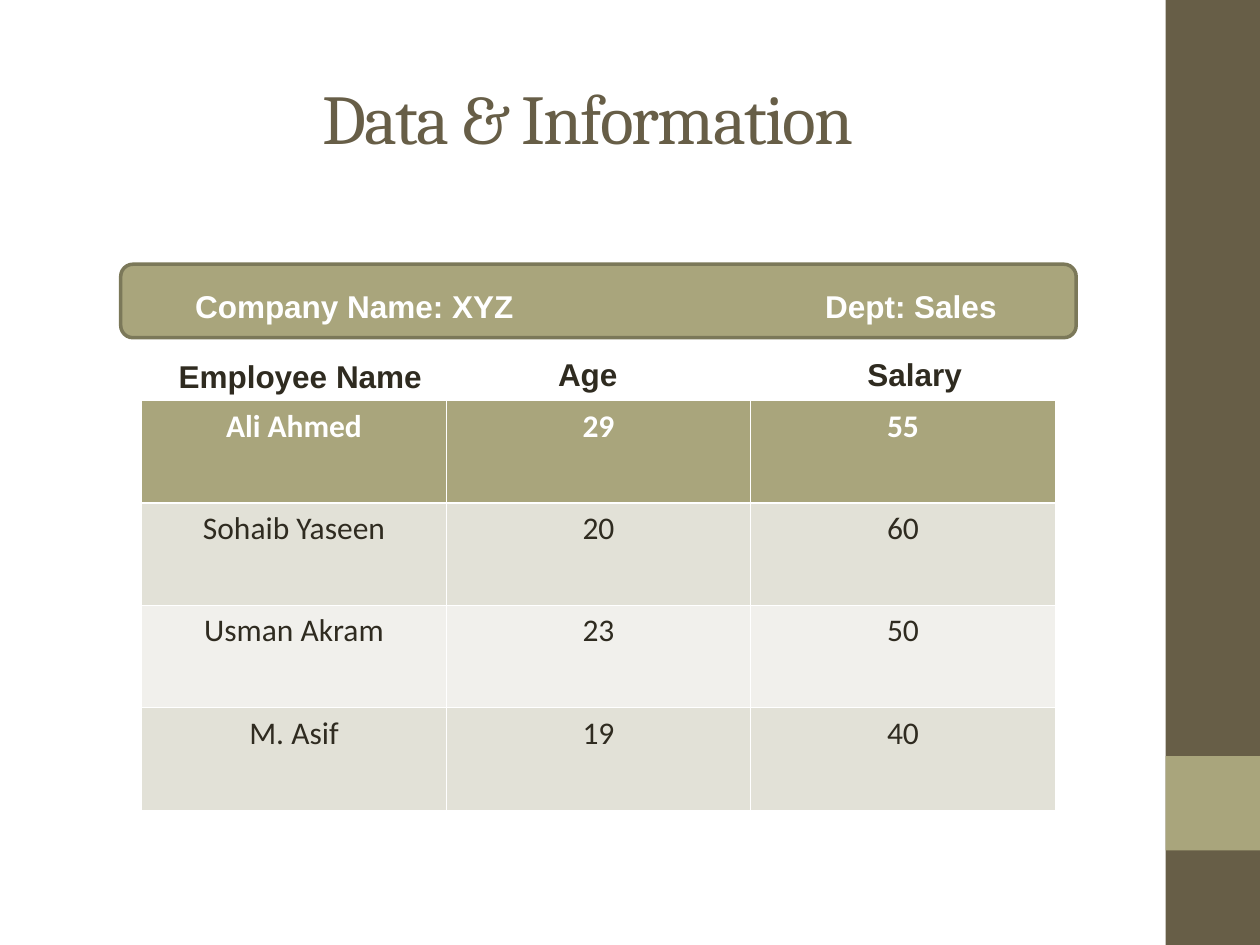
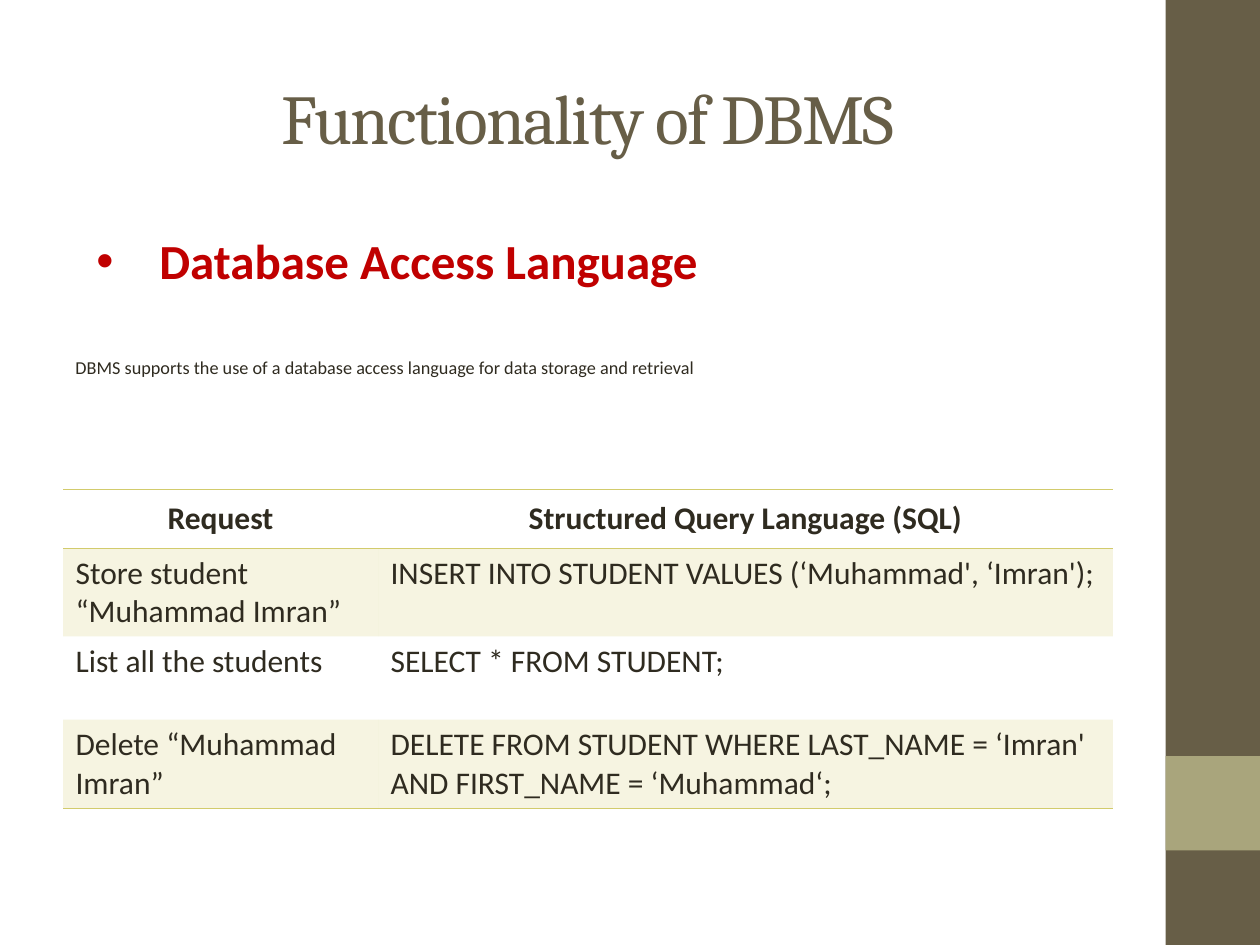
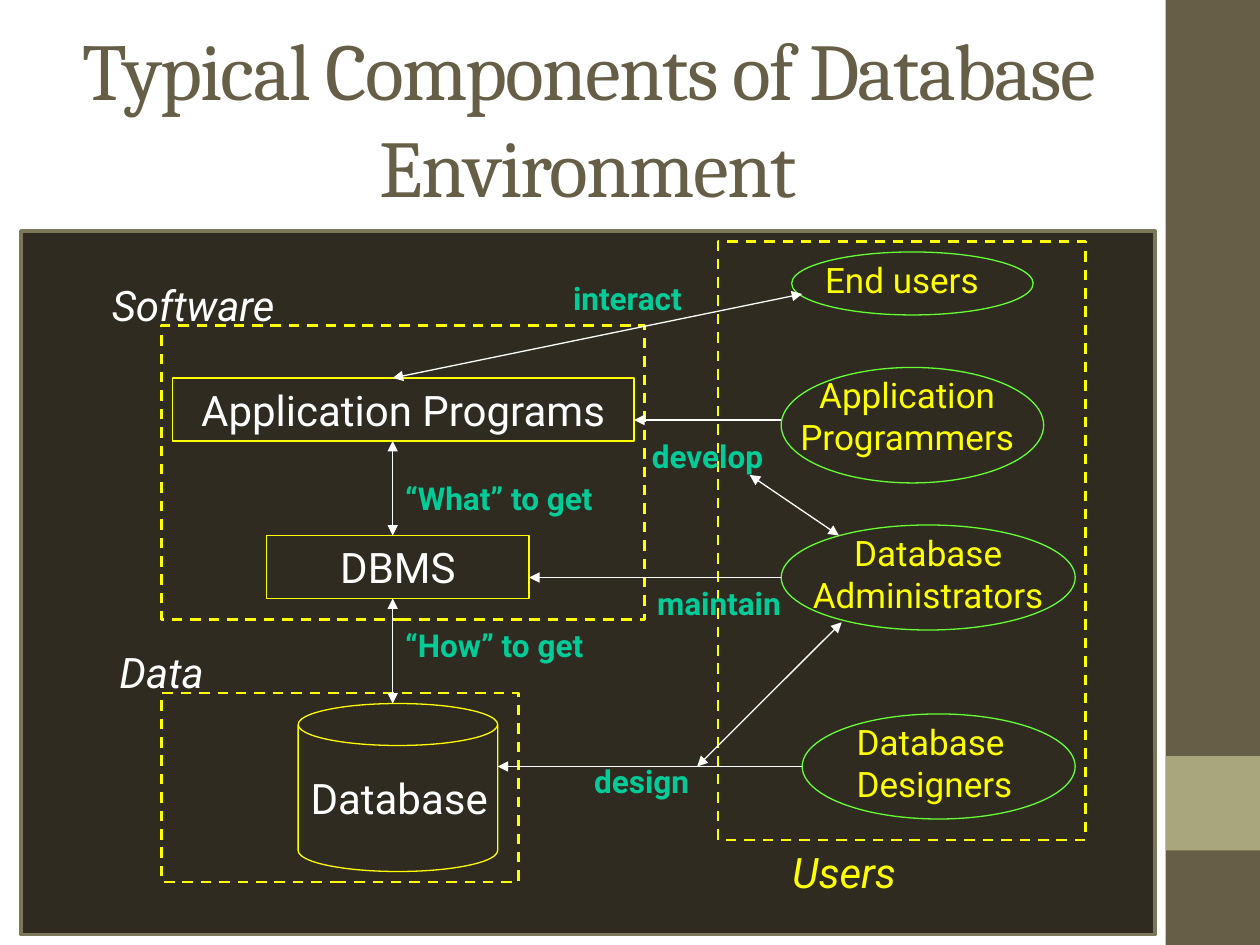
from dataclasses import dataclass, field, replace
from typing import NamedTuple

from lxml import etree
from pptx import Presentation
from pptx import util as u
from pptx.dml import color
from pptx.enum import dml, shapes, text
from pptx.oxml import ns

LEFT, CENTER = text.PP_ALIGN.LEFT, text.PP_ALIGN.CENTER
TOP, MIDDLE = text.MSO_ANCHOR.TOP, text.MSO_ANCHOR.MIDDLE
RECTANGLE = shapes.MSO_SHAPE.RECTANGLE
OVAL = shapes.MSO_SHAPE.OVAL


class Box(NamedTuple):
    left: float
    top: float
    width: float
    height: float

    def points(self) -> list:
        return [u.Pt(value) for value in self]


@dataclass(frozen=True)
class Style:
    font: str
    size: float
    color: str
    bold: bool = False
    italic: bool = False
    tracking: int = 0


@dataclass(frozen=True)
class Theme:
    white: str = "FFFFFF"
    brown: str = "675E47"
    olive: str = "A9A57C"
    olive_edge: str = "7B7859"
    ink: str = "2F2B20"
    band_dark: str = "E2E1D7"
    band_light: str = "F1F0EC"
    gold: str = "D2CB6C"
    yellow: str = "FFFF00"
    green: str = "66FF33"
    title: Style = Style("Cambria", 40, "675E47", tracking=-100)
    body: Style = Style("Calibri", 18, "2F2B20")
    heading: Style = Style("Calibri", 28, "C00000", bold=True)
    small: Style = Style("Calibri", 10.4, "2F2B20")
    label: Style = Style("Arial", 18, "2F2B20", bold=True)
    component: Style = Style("Roboto", 24, "FFFFFF")
    user: Style = Style("Roboto", 20, "FFFF00")
    action: Style = Style("Roboto", 18, "00CC99", bold=True)


THEME = Theme()


class Edge(NamedTuple):
    color: str
    width: float


@dataclass(frozen=True)
class CellLook:
    style: Style
    fill: str | None = None
    alpha: int = 100
    align: text.PP_ALIGN = LEFT
    anchor: text.MSO_ANCHOR = TOP
    edges: dict[str, Edge] = field(default_factory=dict)


class Label(NamedTuple):
    words: str
    box: Box
    style: Style
    align: text.PP_ALIGN = LEFT


class Outline(NamedTuple):
    kind: shapes.MSO_SHAPE
    box: Box
    color: str
    words: str = ""


class Arrow(NamedTuple):
    start: tuple[float, float]
    end: tuple[float, float]
    two_way: bool = True


def rgb(value: str) -> color.RGBColor:
    return color.RGBColor.from_string(value)


def write(frame, words: str, style: Style, align=LEFT, spacing: float = 1.0) -> None:
    for index, line in enumerate(words.split("\n")):
        paragraph = frame.add_paragraph() if index else frame.paragraphs[0]
        paragraph.alignment = align
        paragraph.line_spacing = spacing
        run = paragraph.add_run()
        run.text = line
        font = run.font
        font.name, font.size = style.font, u.Pt(style.size)
        font.bold, font.italic = style.bold, style.italic
        font.color.rgb = rgb(style.color)
        if style.tracking:
            font._element.set("spc", str(style.tracking))


def add_text(slide, label: Label, spacing: float = 1.0, anchor=TOP, wrap: bool = True):
    frame = slide.shapes.add_textbox(*label.box.points()).text_frame
    frame.word_wrap = wrap
    frame.vertical_anchor = anchor
    write(frame, label.words, label.style, label.align, spacing)
    return frame.paragraphs[0]


def add_shape(slide, kind, box: Box, fill: str | None = None, line: Edge | None = None):
    shape = slide.shapes.add_shape(kind, *box.points())
    shape.shadow.inherit = False
    if fill:
        shape.fill.solid()
        shape.fill.fore_color.rgb = rgb(fill)
    else:
        shape.fill.background()
    if line:
        shape.line.color.rgb = rgb(line.color)
        shape.line.width = u.Pt(line.width)
    else:
        shape.line.fill.background()
    return shape


def add_arrow(slide, arrow: Arrow) -> None:
    ends = [u.Pt(value) for value in (*arrow.start, *arrow.end)]
    connector = slide.shapes.add_connector(shapes.MSO_CONNECTOR.STRAIGHT, *ends)
    connector.line.color.rgb = rgb(THEME.white)
    connector.line.width = u.Pt(0.75)
    properties = connector._element.spPr
    line = properties.find(ns.qn("a:ln"))
    for tag in ("a:headEnd", "a:tailEnd") if arrow.two_way else ("a:tailEnd",):
        etree.SubElement(line, ns.qn(tag), type="triangle")
    etree.SubElement(properties, ns.qn("a:effectLst"))


def format_cell(cell, words: str, look: CellLook) -> None:
    properties = cell._tc.get_or_add_tcPr()
    for side in "LRTB":
        line = etree.SubElement(properties, ns.qn(f"a:ln{side}"))
        edge = look.edges.get(side)
        if edge:
            line.set("w", str(u.Pt(edge.width)))
            fill = etree.SubElement(line, ns.qn("a:solidFill"))
            etree.SubElement(fill, ns.qn("a:srgbClr"), val=edge.color)
        else:
            etree.SubElement(line, ns.qn("a:noFill"))
    if look.fill:
        cell.fill.solid()
        cell.fill.fore_color.rgb = rgb(look.fill)
        if look.alpha < 100:
            tint = properties.find(ns.qn("a:solidFill"))[0]
            etree.SubElement(tint, ns.qn("a:alpha"), val=str(look.alpha * 1000))
    else:
        cell.fill.background()
    cell.vertical_anchor = look.anchor
    write(cell.text_frame, words, look.style, look.align)


def add_table(slide, left: float, top: float, widths: list[float], heights: list[float],
              rows: list[tuple[str, ...]], looks: list[CellLook]) -> None:
    box = Box(left, top, sum(widths), sum(heights))
    table = slide.shapes.add_table(len(rows), len(widths), *box.points()).table
    table.first_row = table.horz_banding = False
    for column, width in zip(table.columns, widths):
        column.width = u.Pt(width)
    for row, height, words, look in zip(table.rows, heights, rows, looks):
        row.height = u.Pt(height)
        for cell, entry in zip(row.cells, words):
            format_cell(cell, entry, look)


def add_slide(presentation, title: str, title_size: float = THEME.title.size):
    slide = presentation.slides.add_slide(presentation.slide_layouts[6])
    add_shape(slide, RECTANGLE, Box(666, 0, 54, 540), THEME.brown)
    add_shape(slide, RECTANGLE, Box(666, 432, 54, 54), THEME.olive)
    style = replace(THEME.title, size=title_size)
    add_text(slide, Label(title, Box(36, 21.6, 600, 90), style, CENTER), anchor=MIDDLE)
    return slide


def build_data_slide(presentation) -> None:
    slide = add_slide(presentation, "Data & Information")
    thin, thick = Edge(THEME.white, 0.45), Edge(THEME.white, 1.47)
    grid = dict.fromkeys("LRTB", thin)
    head_style = replace(THEME.body, color=THEME.white, bold=True)
    dark = CellLook(THEME.body, THEME.band_dark, align=CENTER, edges=grid)
    looks = [
        replace(dark, style=head_style, fill=THEME.olive, edges=grid | {"B": thick}),
        replace(dark, edges=grid | {"T": thick}),
        replace(dark, fill=THEME.band_light),
        dark,
    ]
    employees = [
        ("Ali Ahmed", "29", "55"),
        ("Sohaib Yaseen", "20", "60"),
        ("Usman Akram", "23", "50"),
        ("M. Asif", "19", "40"),
    ]
    add_table(slide, 81, 229, [174] * 3, [58.5] * 4, employees, looks)
    for label in (
        Label("Employee Name", Box(95, 193.8, 153.4, 35), THEME.label),
        Label("Age", Box(311.8, 193, 48.2, 35), THEME.label),
        Label("Salary", Box(488.6, 193, 68.4, 35), THEME.label),
    ):
        add_text(slide, label, spacing=1.3, wrap=False)
    add_shape(slide, shapes.MSO_SHAPE.ROUNDED_RECTANGLE, Box(69, 151, 546, 42),
              THEME.olive, Edge(THEME.olive_edge, 2))
    company = Label("Company Name: XYZ\tDept: Sales", Box(104.4, 154, 472.4, 35),
                    replace(THEME.label, color=THEME.white))
    paragraph = add_text(slide, company, spacing=1.3, wrap=False)
    stops = etree.SubElement(paragraph._p.get_or_add_pPr(), ns.qn("a:tabLst"))
    etree.SubElement(stops, ns.qn("a:tab"), pos=str(u.Pt(360)), algn="l")


def build_language_slide(presentation) -> None:
    slide = add_slide(presentation, "Functionality of DBMS")
    heading = Label("Database Access Language", Box(48, 111.6, 534, 60), THEME.heading)
    properties = add_text(slide, heading, spacing=1.5)._p.get_or_add_pPr()
    properties.set("marL", str(u.Pt(36)))
    properties.set("indent", str(u.Pt(-36)))
    bullet_color = etree.SubElement(properties, ns.qn("a:buClr"))
    etree.SubElement(bullet_color, ns.qn("a:srgbClr"), val=THEME.heading.color)
    etree.SubElement(properties, ns.qn("a:buFont"), typeface="Arial")
    etree.SubElement(properties, ns.qn("a:buChar"), char="•")
    summary = ("DBMS supports the use of a database access language "
               "for data storage and retrieval")
    add_text(slide, Label(summary, Box(36, 202.4, 608, 60), THEME.small), spacing=0.8)

    rule = Edge(THEME.gold, 0.45)
    plain = CellLook(THEME.body)
    tinted = replace(plain, fill=THEME.gold, alpha=20)
    looks = [
        replace(plain, style=replace(THEME.body, bold=True), align=CENTER, anchor=MIDDLE,
                edges={"T": rule, "B": rule}),
        replace(tinted, edges={"T": rule}),
        plain,
        replace(tinted, edges={"B": rule}),
    ]
    requests = [
        ("Request", "Structured Query Language (SQL)"),
        ("Store student\n“Muhammad Imran”",
         "INSERT INTO STUDENT VALUES (‘Muhammad', ‘Imran');"),
        ("List all the students", "SELECT * FROM STUDENT;"),
        ("Delete “Muhammad Imran”",
         "DELETE FROM STUDENT WHERE LAST_NAME = ‘Imran' AND FIRST_NAME = ‘Muhammad‘;"),
    ]
    add_table(slide, 36, 279.4, [180, 420], [33.8, 50.4, 47.6, 50.4], requests, looks)


def build_environment_slide(presentation) -> None:
    slide = add_slide(presentation, "Typical Components of Database Environment", 46)
    add_shape(slide, RECTANGLE, Box(12, 132, 648, 402), THEME.ink, Edge(THEME.olive_edge, 2))

    for outline in (
        Outline(shapes.MSO_SHAPE.CAN, Box(170.4, 402, 114, 96), THEME.yellow),
        Outline(RECTANGLE, Box(152.4, 306, 150, 36), THEME.yellow, "DBMS"),
        Outline(RECTANGLE, Box(98.4, 216, 264, 36), THEME.yellow, "Application Programs"),
        Outline(OVAL, Box(452.4, 144, 138, 36), THEME.green),
        Outline(OVAL, Box(446.4, 210, 150, 66), THEME.green),
        Outline(OVAL, Box(446.4, 300, 168, 60), THEME.green),
        Outline(OVAL, Box(458.4, 408, 156, 60), THEME.green),
    ):
        shape = add_shape(slide, outline.kind, outline.box, line=Edge(outline.color, 0.75))
        if outline.words:
            shape.text_frame.vertical_anchor = TOP
            write(shape.text_frame, outline.words, THEME.component, CENTER)

    for frame in (
        Box(92.4, 186, 276, 168),
        Box(410.4, 138, 210, 342),
        Box(92.4, 396, 204, 108),
    ):
        group = add_shape(slide, RECTANGLE, frame, line=Edge(THEME.yellow, 1.5))
        group.line.dash_style = dml.MSO_LINE.DASH

    group_name = replace(THEME.component, italic=True)
    users_name = replace(group_name, color=THEME.yellow)
    for label in (
        Label("Database", Box(170.4, 438, 144, 36), THEME.component),
        Label("End users", Box(464.4, 144, 120, 31.5), THEME.user),
        Label("Application Programmers", Box(434.4, 210, 168, 55.5), THEME.user, CENTER),
        Label("Database Administrators", Box(446.4, 300, 168, 55.5), THEME.user, CENTER),
        Label("Database Designers", Box(482.4, 408, 156, 55.5), THEME.user),
        Label("interact", Box(320.4, 156, 132, 29), THEME.action),
        Label("“What” to get", Box(224.4, 270, 150, 29), THEME.action),
        Label("“How” to get", Box(224.4, 354, 132, 29), THEME.action),
        Label("develop", Box(365.4, 246, 123, 29), THEME.action),
        Label("maintain", Box(368.4, 330, 132, 29), THEME.action),
        Label("design", Box(332.4, 432, 132, 29), THEME.action),
        Label("Software", Box(38.4, 156, 144, 36), group_name, CENTER),
        Label("Data", Box(20.4, 366, 144, 36), group_name, CENTER),
        Label("Users", Box(410.4, 480, 144, 36), users_name, CENTER),
    ):
        add_text(slide, label)

    for arrow in (
        Arrow((224.4, 342), (224.4, 402)),
        Arrow((224.4, 252), (224.4, 306)),
        Arrow((458.4, 168), (224.4, 216)),
        Arrow((446.4, 240), (362.4, 240), two_way=False),
        Arrow((446.4, 330), (302.4, 330), two_way=False),
        Arrow((458.4, 438), (284.4, 438), two_way=False),
        Arrow((479.4, 306), (428.4, 271.4)),
        Arrow((481, 355.6), (398.4, 438)),
    ):
        add_arrow(slide, arrow)


def main() -> None:
    presentation = Presentation()
    presentation.slide_width, presentation.slide_height = u.Pt(720), u.Pt(540)
    build_data_slide(presentation)
    build_language_slide(presentation)
    build_environment_slide(presentation)
    presentation.save("out.pptx")


if __name__ == "__main__":
    main()
